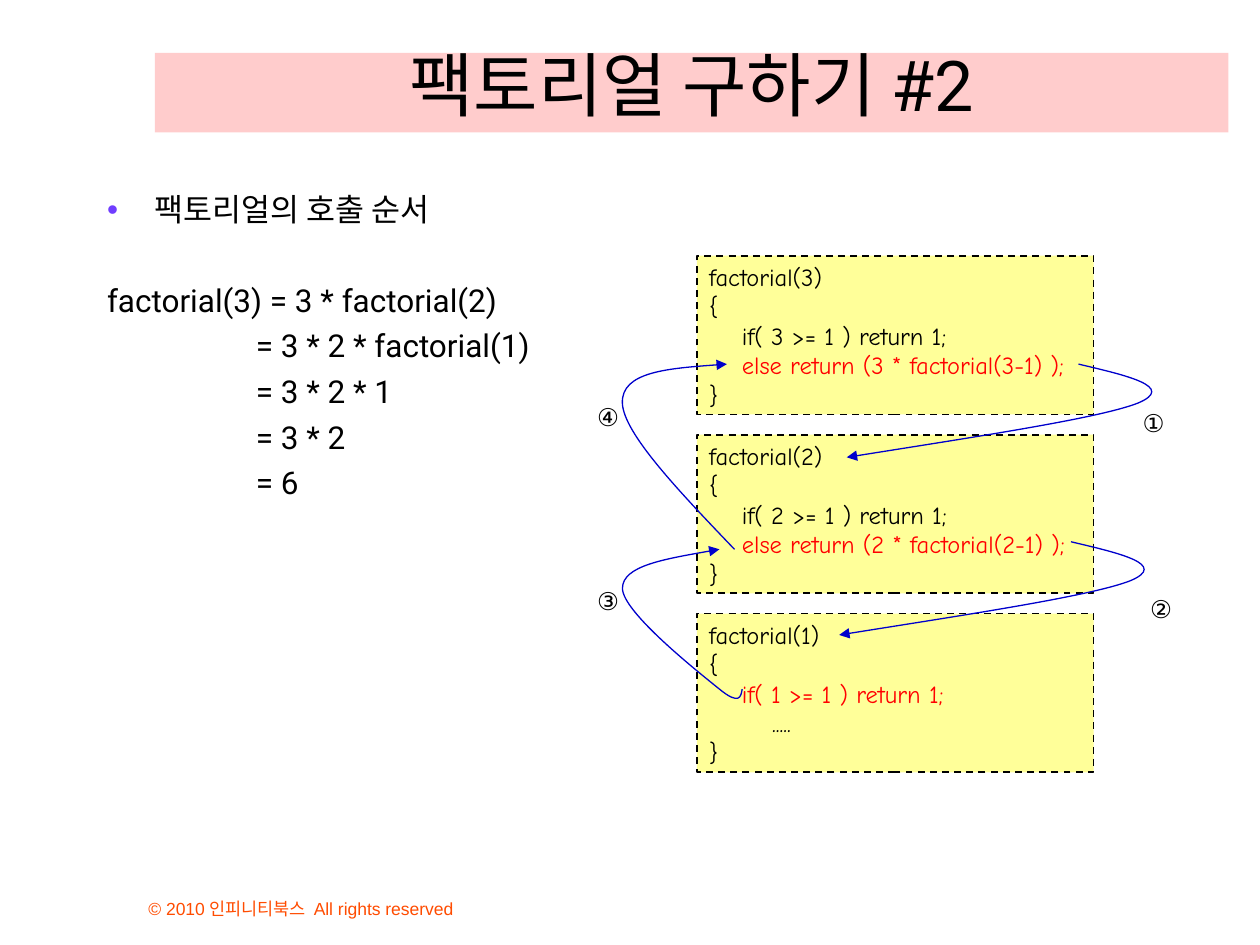
from dataclasses import dataclass

from lxml import etree
from pptx import Presentation
from pptx import util as u
from pptx.dml.color import RGBColor
from pptx.enum import dml, shapes, text
from pptx.oxml import ns

BLACK, RED, BLUE = "000000", "FF0000", "0000CC"
PINK, YELLOW, PURPLE, ORANGE = "FFCCCC", "FFFF99", "703DFF", "FF4C00"


def color(value):
    return RGBColor.from_string(value)


def add_xml(parent, tag, **attributes):
    return etree.SubElement(parent, ns.qn(tag), **attributes)


def place(shape, left, top, width, height):
    shape.left, shape.top = u.Inches(left), u.Inches(top)
    shape.width, shape.height = u.Inches(width), u.Inches(height)


def set_font(para, name, size, value=BLACK):
    para.font.name = name
    para.font.size = u.Pt(size)
    para.font.color.rgb = color(value)


def set_bullet(para, char=None):
    """Give the paragraph a coloured bullet, or none at all."""
    props = para._p.get_or_add_pPr()
    if char:
        bullet_color = add_xml(props, "a:buClr")
        add_xml(bullet_color, "a:srgbClr", val=PURPLE)
        add_xml(props, "a:buChar", char=char)
    else:
        add_xml(props, "a:buNone")


def set_indent(para, margin, first):
    props = para._p.get_or_add_pPr()
    props.set("marL", str(u.Inches(margin)))
    props.set("indent", str(u.Inches(first)))


@dataclass
class SlideBuilder:
    slide: object
    main_font: str = "Roboto"
    code_font: str = "Comic Neue"
    code_size: int = 14

    def title(self, words, area):
        box = self.slide.shapes.title
        place(box, *area)
        box.fill.solid()
        box.fill.fore_color.rgb = color(PINK)
        frame = box.text_frame
        frame.auto_size = text.MSO_AUTO_SIZE.NONE
        frame.vertical_anchor = text.MSO_ANCHOR.BOTTOM
        frame.text = words
        frame.paragraphs[0].alignment = text.PP_ALIGN.CENTER
        set_font(frame.paragraphs[0], self.main_font, 40)

    def body(self, heading, equation, area):
        """Fill the body with a bulleted heading and an aligned derivation."""
        box = self.slide.placeholders[1]
        place(box, *area)
        frame = box.text_frame
        frame.auto_size = text.MSO_AUTO_SIZE.NONE
        frame.text = "\n".join([heading, *equation])
        for index, para in enumerate(frame.paragraphs):
            para.space_before = u.Pt({0: 0, 1: 30}.get(index, 4.5))
            if index == 0:
                set_indent(para, 0.38, -0.38)
            else:
                set_indent(para, 0 if index == 1 else 1.18, 0)
            set_bullet(para, "•" if index == 0 else None)
            set_font(para, self.main_font, 18)

    def label(self, words, area, font, size, value=BLACK, wrap=False):
        box = self.slide.shapes.add_textbox(*map(u.Inches, area))
        frame = box.text_frame
        frame.word_wrap = wrap
        frame.vertical_anchor = text.MSO_ANCHOR.BOTTOM
        frame.text = words
        set_font(frame.paragraphs[0], font, size, value)

    def code_box(self, lines, active, area):
        """Draw a dashed box of code with the active line in red."""
        box = self.slide.shapes.add_shape(
            shapes.MSO_SHAPE.RECTANGLE, *map(u.Inches, area))
        box.shadow.inherit = False
        box.fill.solid()
        box.fill.fore_color.rgb = color(YELLOW)
        box.line.color.rgb = color(BLACK)
        box.line.width = u.Pt(1)
        box.line.dash_style = dml.MSO_LINE.DASH
        frame = box.text_frame
        frame.word_wrap = True
        frame.vertical_anchor = text.MSO_ANCHOR.TOP
        frame.text = "\n".join(lines)
        for index, para in enumerate(frame.paragraphs):
            para.alignment = text.PP_ALIGN.LEFT
            set_font(para, self.code_font, self.code_size,
                     RED if index == active else BLACK)

    def curved_arrow(self, points):
        """Draw Bézier segments: a start, then three points for each segment."""
        start, *rest = [(u.Inches(x), u.Inches(y)) for x, y in points]
        builder = self.slide.shapes.build_freeform(*start)
        builder.add_line_segments(rest, close=False)
        arrow = builder.convert_to_shape()
        arrow.shadow.inherit = False
        arrow.fill.background()
        arrow.line.color.rgb = color(BLUE)
        arrow.line.width = u.Pt(0.75)
        add_xml(arrow.line._get_or_add_ln(), "a:tailEnd", type="triangle")

        outline = arrow._element.find(".//" + ns.qn("a:path"))
        steps = outline.findall(ns.qn("a:lnTo"))
        for index, step in enumerate(steps):
            if index % 3 == 0:
                curve = add_xml(outline, "a:cubicBezTo")
            curve.append(step[0])
            outline.remove(step)


def main():
    deck = Presentation()
    deck.slide_width, deck.slide_height = u.Inches(10), u.Inches(7.5)
    page = SlideBuilder(deck.slides.add_slide(deck.slide_layouts[1]))

    page.title("팩토리얼 구하기 #2", (1.23, 0.42, 8.52, 0.63))
    page.body(
        "팩토리얼의 호출 순서",
        ["factorial(3) = 3 * factorial(2)", "= 3 * 2 * factorial(1)",
         "= 3 * 2 * 1", "= 3 * 2", "= 6"],
        (0.75, 1.46, 8.52, 4.54))
    page.label("© 2010 인피니티북스  All rights reserved",
               (1.08, 6.92, 3.83, 0.42), "Arial", 10, ORANGE, wrap=True)

    for row, n in enumerate((3, 2, 1)):
        check = f"    if( {n} >= 1 ) return 1;"
        otherwise = f"    else return ({n} * factorial({n}-1) );"
        last = n == 1
        page.code_box(
            [f"factorial({n})", "{", check, "\t....." if last else otherwise, "}"],
            2 if last else 3,
            (5.53, 2.03 + 1.42 * row, 3.15, 1.26))

    for mark, left, top in (("①", 8.97, 3.18), ("②", 9.03, 4.66),
                            ("③", 4.64, 4.59), ("④", 4.64, 3.13)):
        page.label(mark, (left, top, 0.39, 0.34), page.code_font, page.code_size)

    call = [(8.56, 2.89), (8.94, 2.98), (9.34, 3.07), (9.03, 3.2),
            (8.72, 3.32), (7.72, 3.47), (6.72, 3.63)]
    page.curved_arrow(call)
    page.curved_arrow([(x - 0.06, y + 1.41) for x, y in call])
    page.curved_arrow([(5.83, 4.36), (5.39, 3.9), (4.95, 3.44), (4.94, 3.2),
                       (4.93, 2.95), (5.35, 2.92), (5.77, 2.89)])
    page.curved_arrow([(5.89, 5.47), (5.88, 5.53), (5.87, 5.6), (5.71, 5.47),
                       (5.55, 5.34), (4.94, 4.86), (4.94, 4.67),
                       (4.94, 4.49), (5.32, 4.43), (5.71, 4.36)])

    deck.save("out.pptx")


if __name__ == "__main__":
    main()
